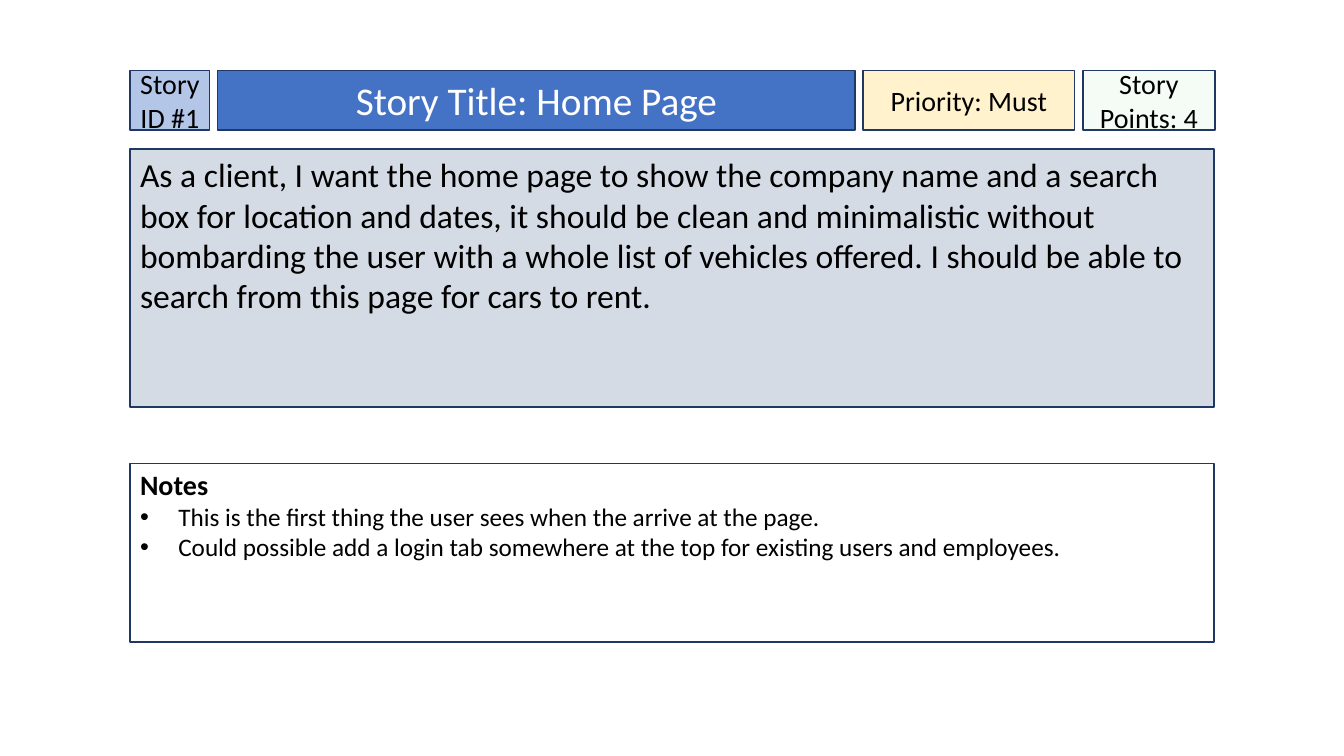
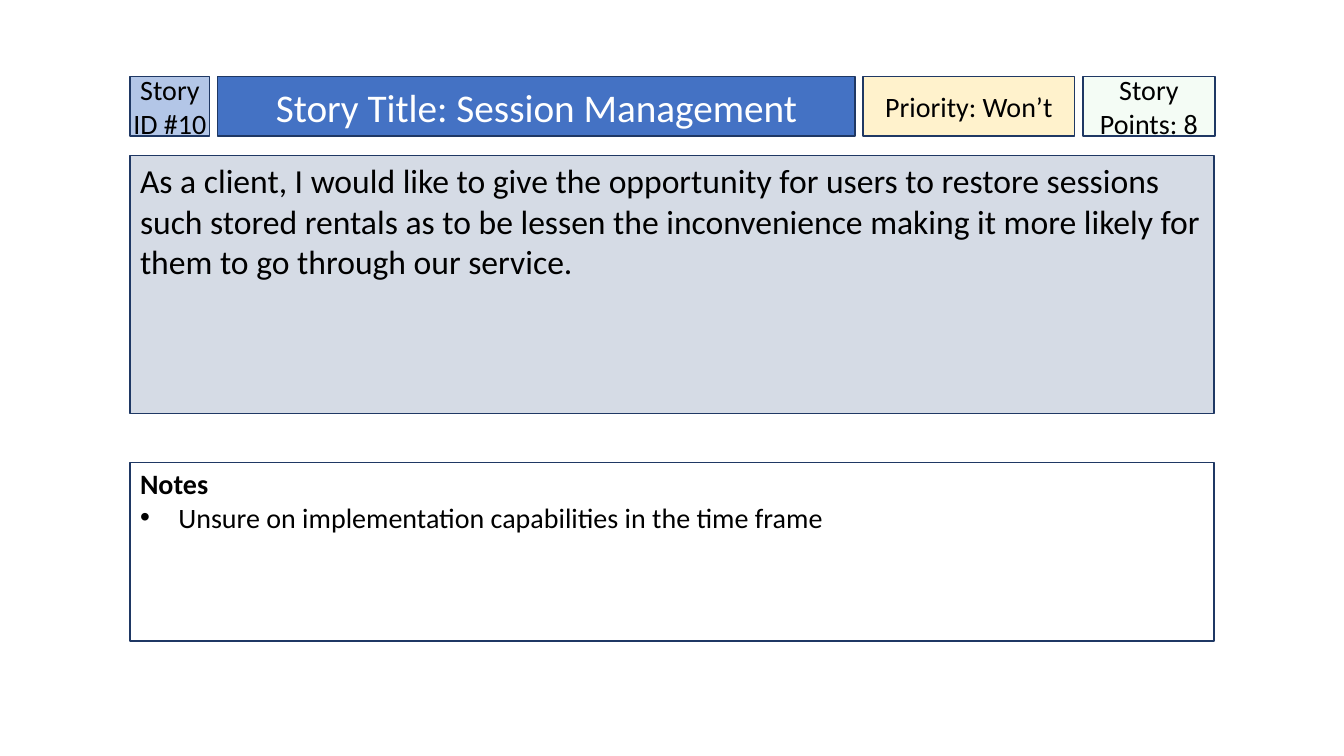
from dataclasses import dataclass

from lxml.etree import SubElement
from pptx import Presentation
from pptx.dml.color import RGBColor
from pptx.enum.shapes import MSO_SHAPE
from pptx.enum.text import MSO_ANCHOR, PP_ALIGN
from pptx.oxml.ns import qn
from pptx.util import Inches, Pt


@dataclass(frozen=True)
class Theme:
    font: str = "Calibri"
    outline: str = "1F3864"
    text: str = "000000"
    title_text: str = "FFFFFF"
    identifier: str = "B3C6E7"
    title: str = "4472C4"
    priority: str = "FFF2CC"
    points: str = "CCF0CD"
    points_opacity: int = 20
    story: str = "D5DBE5"
    notes: str = "FFFFFF"
    title_size: int = 28
    story_size: int = 24
    label_size: int = 20


@dataclass(frozen=True)
class Box:
    left: float
    top: float
    width: float
    height: float


THEME = Theme()
CARD_LEFT = 1.29
CARD_WIDTH = 10.75
HEADER_HEIGHT = 0.59
HEADER_GAP = 0.08
STORY_OFFSET = 0.78
STORY_HEIGHT = 2.56
NOTES_HEIGHT = 1.77
BULLET_INDENT = 0.38

STORIES = [
    {
        "identifier": "Story ID #1",
        "title": "Story Title: Home Page",
        "priority": "Priority: Must",
        "points": "Story Points: 4",
        "story": "As a client, I want the home page to show the company name and a "
                 "search box for location and dates, it should be clean and minimalistic "
                 "without bombarding the user with a whole list of vehicles offered. I "
                 "should be able to search from this page for cars to rent.",
        "notes": [
            "This is the first thing the user sees when the arrive at the page.",
            "Could possible add a login tab somewhere at the top for existing users "
            "and employees.",
        ],
        "note_size": 18,
        "top": 0.7,
        "notes_top": 4.6,
    },
    {
        "identifier": "Story ID #10",
        "title": "Story Title: Session Management",
        "priority": "Priority: Won\u2019t",
        "points": "Story Points: 8",
        "story": "As a client, I would like to give the opportunity for users to restore "
                 "sessions such stored rentals as to be lessen the inconvenience making it "
                 "more likely for them to go through our service.",
        "notes": ["Unsure on implementation capabilities in the time frame"],
        "note_size": 20,
        "top": 0.76,
        "notes_top": 4.59,
    },
]


def set_values(target, values):
    for name, value in values.items():
        setattr(target, name, value)


def add_panel(slide, box, fill, anchor=MSO_ANCHOR.TOP, side_inset=0.1, top_inset=0.05):
    shape = slide.shapes.add_shape(
        MSO_SHAPE.RECTANGLE,
        Inches(box.left), Inches(box.top), Inches(box.width), Inches(box.height),
    )
    shape.shadow.inherit = False
    shape.fill.solid()
    shape.fill.fore_color.rgb = RGBColor.from_string(fill)
    shape.line.color.rgb = RGBColor.from_string(THEME.outline)
    shape.line.width = Pt(1)
    set_values(shape.text_frame, {
        "word_wrap": True,
        "vertical_anchor": anchor,
        "margin_left": Inches(side_inset),
        "margin_right": Inches(side_inset),
        "margin_top": Inches(top_inset),
        "margin_bottom": Inches(0.05),
    })
    return shape


def write_paragraph(paragraph, text, size, color=THEME.text, align=PP_ALIGN.LEFT, bold=False):
    paragraph.alignment = align
    run = paragraph.add_run()
    run.text = text
    set_values(run.font, {"name": THEME.font, "size": Pt(size), "bold": bold})
    run.font.color.rgb = RGBColor.from_string(color)


def add_bullet(paragraph):
    properties = paragraph._p.get_or_add_pPr()
    properties.set("marL", str(Inches(BULLET_INDENT)))
    properties.set("indent", str(-Inches(BULLET_INDENT)))
    bullet_color = SubElement(properties, qn("a:buClr"))
    SubElement(bullet_color, qn("a:srgbClr"), val=THEME.text)
    SubElement(properties, qn("a:buFont"), typeface="Arial")
    SubElement(properties, qn("a:buChar"), char="\u2022")


def set_opacity(shape, percent):
    color = shape.fill._xPr.find(qn("a:solidFill")).find(qn("a:srgbClr"))
    SubElement(color, qn("a:alpha"), val=str(percent * 1000))


def add_header(slide, box, story):
    cells = [
        ("identifier", 0.79, THEME.identifier, THEME.label_size, THEME.text, 0),
        ("title", 6.32, THEME.title, THEME.title_size, THEME.title_text, 0.1),
        ("priority", 2.1, THEME.priority, THEME.label_size, THEME.text, 0),
        ("points", 1.31, THEME.points, THEME.label_size, THEME.text, 0),
    ]
    left = box.left
    for key, width, fill, size, color, inset in cells:
        cell_box = Box(left, box.top, width, box.height)
        shape = add_panel(slide, cell_box, fill, MSO_ANCHOR.MIDDLE, inset)
        write_paragraph(shape.text_frame.paragraphs[0], story[key], size, color, PP_ALIGN.CENTER)
        if key == "points":
            set_opacity(shape, THEME.points_opacity)
        left += width + HEADER_GAP


def add_story(slide, box, text):
    shape = add_panel(slide, box, THEME.story)
    write_paragraph(shape.text_frame.paragraphs[0], text, THEME.story_size)


def add_notes(slide, box, notes, size):
    shape = add_panel(slide, box, THEME.notes, top_inset=0.04)
    frame = shape.text_frame
    write_paragraph(frame.paragraphs[0], "Notes", THEME.label_size, bold=True)
    for note in notes:
        paragraph = frame.add_paragraph()
        write_paragraph(paragraph, note, size)
        add_bullet(paragraph)


def add_story_slide(presentation, story):
    slide = presentation.slides.add_slide(presentation.slide_layouts[6])
    top = story["top"]
    add_header(slide, Box(CARD_LEFT, top, CARD_WIDTH, HEADER_HEIGHT), story)
    add_story(slide, Box(CARD_LEFT, top + STORY_OFFSET, CARD_WIDTH, STORY_HEIGHT), story["story"])
    notes_box = Box(CARD_LEFT, story["notes_top"], CARD_WIDTH, NOTES_HEIGHT)
    add_notes(slide, notes_box, story["notes"], story["note_size"])


def main():
    presentation = Presentation()
    set_values(presentation, {"slide_width": Inches(13.33), "slide_height": Inches(7.5)})
    for story in STORIES:
        add_story_slide(presentation, story)
    presentation.save("out.pptx")


main()
